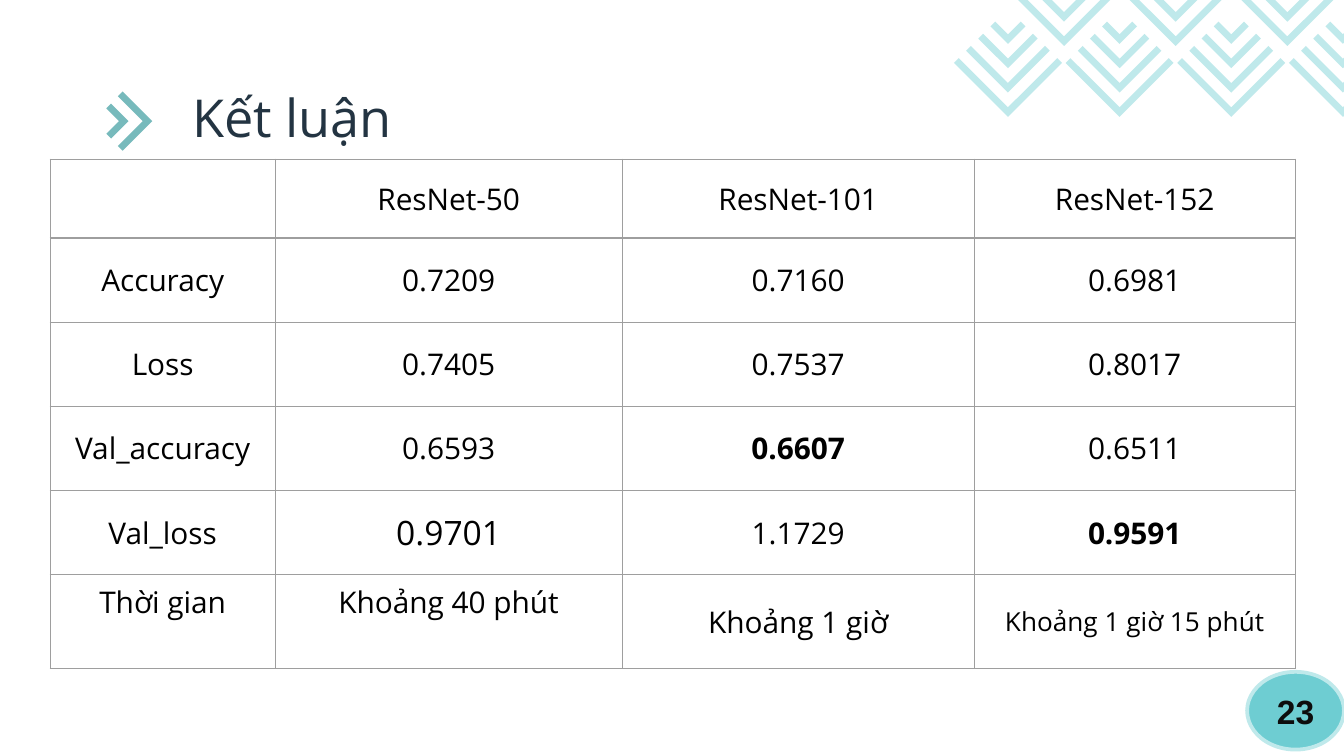
"""Build the conclusion slide comparing three ResNet models."""
from lxml import etree
from pptx import Presentation
from pptx.dml.color import RGBColor
from pptx.enum.shapes import MSO_SHAPE
from pptx.enum.text import MSO_ANCHOR, PP_ALIGN
from pptx.oxml.ns import qn
from pptx.util import Cm, Pt

ELLIPSE = MSO_SHAPE.OVAL
TOP, MIDDLE = MSO_ANCHOR.TOP, MSO_ANCHOR.MIDDLE
LEFT, CENTER = PP_ALIGN.LEFT, PP_ALIGN.CENTER

TEAL = RGBColor(0x77, 0xBA, 0xBC)
PALE = RGBColor(0xBF, 0xE9, 0xEB)
AQUA = RGBColor(0x6E, 0xCD, 0xD2)
NAVY = RGBColor(0x23, 0x34, 0x42)
BLACK = RGBColor(0x00, 0x00, 0x00)
INK = RGBColor(0x0D, 0x0D, 0x0D)
GREY = RGBColor(0x9E, 0x9E, 0x9E)
BAND = 0.09

prs = Presentation()
prs.slide_width, prs.slide_height = Cm(25.4), Cm(14.29)
s = prs.slides.add_slide(prs.slide_layouts[5])


def add_chevron(x, y, arm, color, right=False):
    """Draw a chevron whose tip is at x, y and points down or right."""
    outline = [(0, 0), (arm, arm), (arm - BAND, arm + BAND), (0, 2 * BAND),
               (BAND - arm, arm + BAND), (-arm, arm)]
    pts = [(Cm(x - back), Cm(y + side)) if right else (Cm(x + side), Cm(y - back))
           for side, back in outline]
    builder = s.shapes.build_freeform(*pts[0])
    builder.add_line_segments(pts[1:], close=True)
    sp = builder.convert_to_shape()
    sp.shadow.inherit = False
    sp.fill.solid()
    sp.fill.fore_color.rgb = color
    sp.line.fill.background()


def add_run(p, text, size, color, font="Open Sans", bold=False):
    """Add one formatted run to a paragraph."""
    r = p.add_run()
    r.text = text
    r.font.size = Pt(size)
    r.font.name = font
    r.font.bold = bold
    r.font.color.rgb = color


for x, arm in [(2.88, 0.56), (2.43, 0.33)]:
    add_chevron(x, 2.29, arm, TEAL, right=True)

for first_x, tip_y, columns, nested in [(19.05, 2.21, 4, 4), (20.11, 0.87, 3, 2)]:
    for col in range(columns):
        for n in range(nested):
            add_chevron(first_x + 2.11 * col, tip_y - 0.46 * n, 1.02 - 0.23 * n, PALE)

title = s.shapes.title
title.left, title.top, title.width, title.height = Cm(3.38), Cm(1.4), Cm(7.34), Cm(1.6)
tf = title.text_frame
tf.vertical_anchor = MIDDLE
tf.margin_left = tf.margin_right = tf.margin_top = tf.margin_bottom = Cm(0.25)
tf.paragraphs[0].alignment = LEFT
add_run(tf.paragraphs[0], "Kết luận", 28, NAVY)

ROWS = [
    ["", "ResNet-50", "ResNet-101", "ResNet-152"],
    ["Accuracy", "0.7209", "0.7160", "0.6981"],
    ["Loss", "0.7405", "0.7537", "0.8017"],
    ["Val_accuracy", "0.6593", "0.6607", "0.6511"],
    ["Val_loss", "0.9701", "1.1729", "0.9591"],
    ["Thời gian", "Khoảng 40 phút", "Khoảng 1 giờ", "Khoảng 1 giờ 15 phút"],
]
COL_WIDTHS = [4.25, 6.56, 6.65, 6.07]
ROW_HEIGHTS = [1.49, 1.59, 1.59, 1.59, 1.59, 1.78]
BEST = {"0.6607", "0.9591"}
SIZES = {"0.9701": 18, "Khoảng 1 giờ 15 phút": 14}
TOP_ALIGNED = {"Thời gian", "Khoảng 40 phút"}

table = s.shapes.add_table(len(ROWS), len(COL_WIDTHS), Cm(0.95), Cm(3.01),
                           Cm(sum(COL_WIDTHS)), Cm(sum(ROW_HEIGHTS))).table
table.first_row = False
table.horz_banding = False
for column, width in zip(table.columns, COL_WIDTHS):
    column.width = Cm(width)
for row, height, texts in zip(table.rows, ROW_HEIGHTS, ROWS):
    row.height = Cm(height)
    for cell, text in zip(row.cells, texts):
        tcPr = cell._tc.get_or_add_tcPr()
        for side in ("a:lnL", "a:lnR", "a:lnT", "a:lnB"):
            ln = etree.SubElement(tcPr, qn(side), w=str(Pt(0.75)))
            fill = etree.SubElement(ln, qn("a:solidFill"))
            etree.SubElement(fill, qn("a:srgbClr"), val=str(GREY))
        cell.fill.background()
        cell.vertical_anchor = TOP if text in TOP_ALIGNED else MIDDLE
        p = cell.text_frame.paragraphs[0]
        p.alignment = CENTER
        if text:
            add_run(p, text, SIZES.get(text, 16), BLACK, bold=text in BEST)

badge = s.shapes.add_shape(ELLIPSE, Cm(23.57), Cm(12.7), Cm(1.83), Cm(1.47))
badge.shadow.inherit = False
badge.fill.solid()
badge.fill.fore_color.rgb = AQUA
badge.line.color.rgb = PALE
badge.line.width = Pt(2)
tf = badge.text_frame
tf.margin_left = tf.margin_right = tf.margin_top = tf.margin_bottom = 0
tf.vertical_anchor = MIDDLE
tf.paragraphs[0].alignment = CENTER
add_run(tf.paragraphs[0], "23", 18, INK, font="Arial", bold=True)

prs.save("out.pptx")
